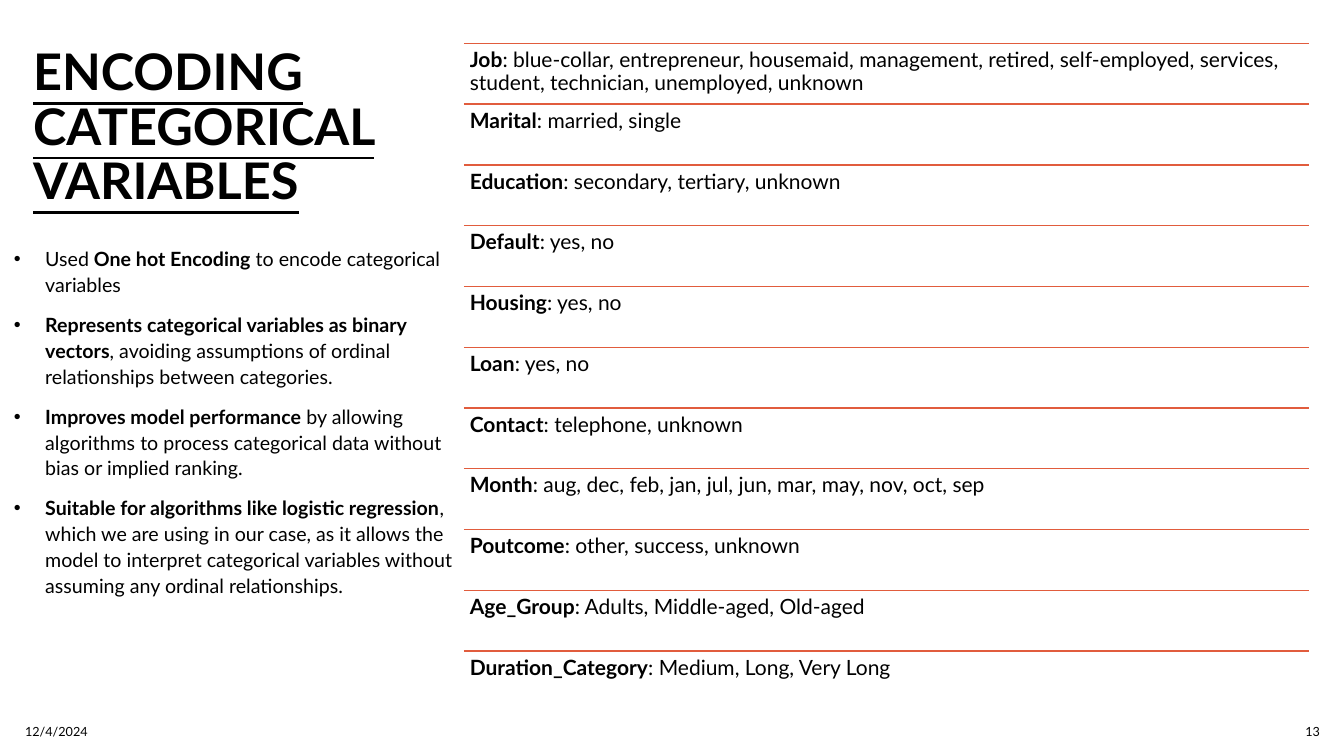
from dataclasses import dataclass

from lxml.etree import SubElement
from pptx import Presentation
from pptx.dml.color import RGBColor
from pptx.enum.shapes import MSO_CONNECTOR as Connector
from pptx.enum.text import MSO_ANCHOR as Anchor, PP_ALIGN as Align
from pptx.oxml.ns import qn
from pptx.util import Inches, Pt


@dataclass(frozen=True)
class Theme:
    """Colours, font and type sizes of the slide."""
    font: str = "Lato"
    ink: RGBColor = RGBColor(0x00, 0x00, 0x00)
    rule: RGBColor = RGBColor(0xE1, 0x5C, 0x3D)
    title: int = 36
    body: int = 14
    category: int = 15
    footer: int = 9


THEME = Theme()

POINTS = [
    [("Used", False), (" One hot Encoding", True), (" to encode categorical variables", False)],
    [("Represents categorical variables as binary vectors", True),
     (", avoiding assumptions of ordinal relationships between categories.", False)],
    [("Improves model performance", True),
     (" by allowing algorithms to process categorical data without bias or implied ranking.", False)],
    [("Suitable for algorithms like logistic regression", True),
     (", which we are using in our case, as it allows the model to interpret categorical "
      "variables without assuming any ordinal relationships.", False)],
]

CATEGORIES = {
    "Job": "blue-collar, entrepreneur, housemaid, management, retired, self-employed, "
           "services, student, technician, unemployed, unknown",
    "Marital": "married, single",
    "Education": "secondary, tertiary, unknown",
    "Default": "yes, no",
    "Housing": "yes, no",
    "Loan": "yes, no",
    "Contact": "telephone, unknown",
    "Month": "aug, dec, feb, jan, jul, jun, mar, may, nov, oct, sep",
    "Poutcome": "other, success, unknown",
    "Age_Group": "Adults, Middle-aged, Old-aged",
    "Duration_Category": "Medium, Long, Very Long",
}

LIST_LEFT, LIST_WIDTH = 4.6, 8.38
FIRST_ROW, LAST_ROW = 0.43, 6.46


def add_text(shapes, box, paragraphs, size, line_spacing=1.0, anchor=Anchor.TOP):
    """Add a wrapping text box whose paragraphs are lists of (text, bold) pairs."""
    text_frame = shapes.add_textbox(*map(Inches, box)).text_frame
    text_frame.word_wrap = True
    text_frame.vertical_anchor = anchor
    for index, parts in enumerate(paragraphs):
        paragraph = text_frame.add_paragraph() if index else text_frame.paragraphs[0]
        paragraph.line_spacing = line_spacing
        for text, bold in parts:
            run = paragraph.add_run()
            run.text = text
            run.font.name = THEME.font
            run.font.size = Pt(size)
            run.font.bold = bold
            run.font.color.rgb = THEME.ink
    return text_frame


def add_title(slide, text):
    """Add the underlined title."""
    text_frame = add_text(slide.shapes, (0.23, 0.42, 4.35, 1.92), [[(text, True)]], THEME.title, 0.9)
    text_frame.paragraphs[0].runs[0].font.underline = True


def add_bullets(slide, points):
    """Add the bulleted explanation."""
    text_frame = add_text(slide.shapes, (0.04, 2.38, 4.55, 4.49), points, THEME.body, 1.1)
    for paragraph in text_frame.paragraphs:
        paragraph.space_before = Pt(10)
        properties = paragraph._p.get_or_add_pPr()
        properties.set("marL", str(Inches(0.31)))
        properties.set("indent", str(Inches(-0.31)))
        SubElement(properties, qn("a:buFont"), typeface="Arial")
        SubElement(properties, qn("a:buChar"), char="•")


def add_rule(shapes, top):
    """Add a horizontal rule above a category."""
    left, right = Inches(LIST_LEFT), Inches(LIST_LEFT + LIST_WIDTH)
    rule = shapes.add_connector(Connector.STRAIGHT, left, Inches(top), right, Inches(top))
    rule.line.color.rgb = THEME.rule
    rule.line.width = Pt(1)
    SubElement(rule._element.spPr, qn("a:effectLst"))


def add_category_list(slide, categories):
    """Add the ruled list of variables and their values as one group."""
    shapes = slide.shapes.add_group_shape().shapes
    pitch = (LAST_ROW - FIRST_ROW) / (len(categories) - 1)
    for row, (name, values) in enumerate(categories.items()):
        top = FIRST_ROW + row * pitch
        add_rule(shapes, top)
        text_frame = add_text(shapes, (LIST_LEFT, top, LIST_WIDTH, pitch),
                              [[(name, True), (f": {values}", False)]], THEME.category, 0.9)
        text_frame.margin_left = text_frame.margin_right = Inches(0.06)
        text_frame.margin_top = text_frame.margin_bottom = Inches(0.06)


def add_footer(slide, text, left, width, align):
    """Add one footer entry."""
    text_frame = add_text(slide.shapes, (left, 7.06, width, 0.4), [[(text, False)]],
                          THEME.footer, anchor=Anchor.MIDDLE)
    text_frame.paragraphs[0].alignment = align
    text_frame.paragraphs[0].space_after = Pt(6)


def main():
    """Build and save the slide."""
    presentation = Presentation()
    presentation.slide_width, presentation.slide_height = Inches(13.33), Inches(7.5)
    slide = presentation.slides.add_slide(presentation.slide_layouts[6])
    add_title(slide, "ENCODING CATEGORICAL VARIABLES")
    add_bullets(slide, POINTS)
    add_footer(slide, "12/4/2024", 0.15, 3.82, Align.LEFT)
    add_footer(slide, "13", 12.72, 0.47, Align.RIGHT)
    add_category_list(slide, CATEGORIES)
    presentation.save("out.pptx")


if __name__ == "__main__":
    main()
